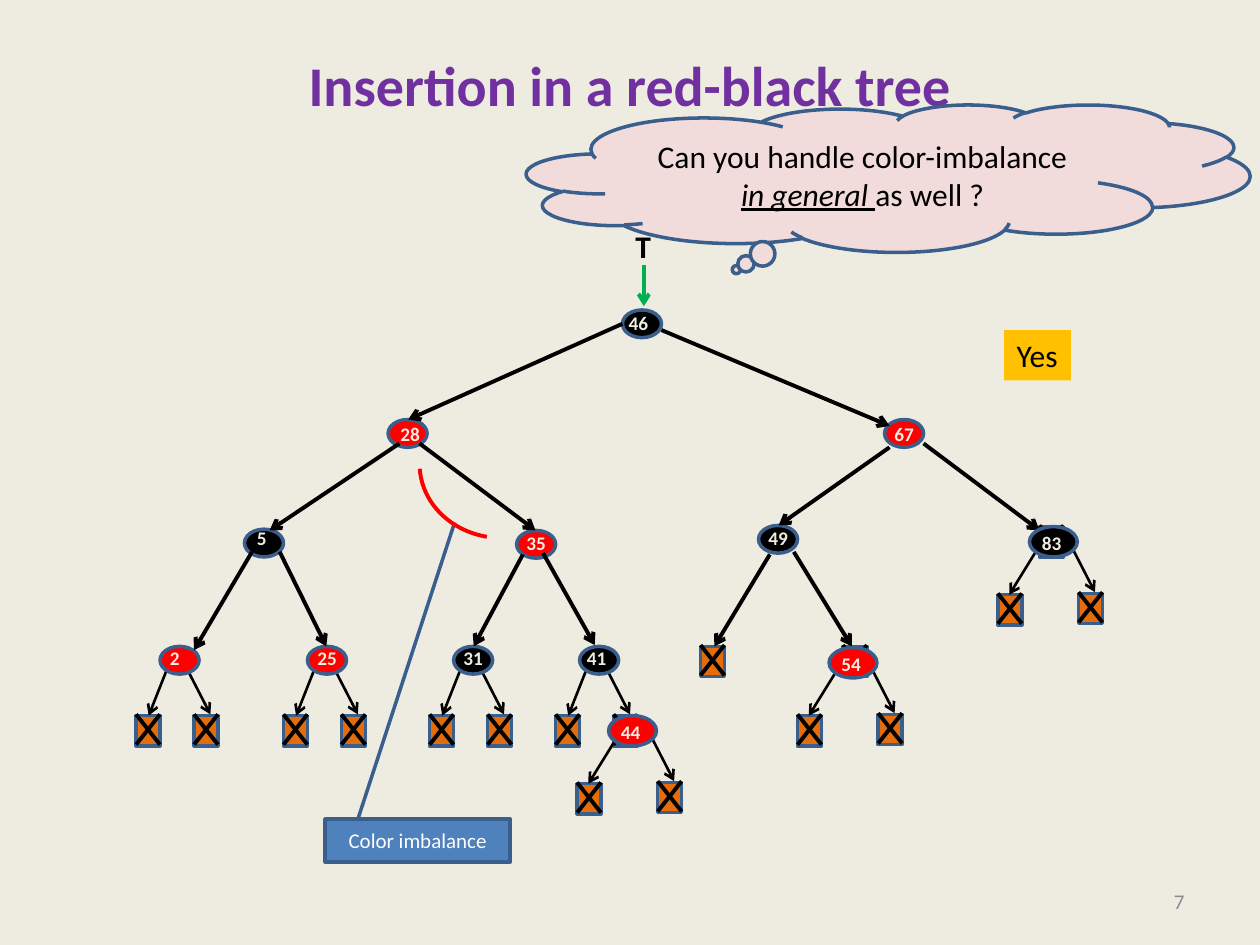
"""Build the slide on insertion in a red-black tree."""
from lxml.etree import SubElement
from pptx import Presentation
from pptx.dml.color import RGBColor
from pptx.enum.shapes import MSO_CONNECTOR, MSO_SHAPE
from pptx.enum.text import MSO_ANCHOR, PP_ALIGN
from pptx.oxml.ns import qn
from pptx.util import Inches, Pt

COLORS = {"bg": "EEECE1", "title": "7030A0", "number": "8C8C8C", "leaf": "E46C0A",
          "outline": "3A5F8C", "black": "000000", "red": "FF0000", "green": "00B050",
          "note": "4F81BD", "white": "FFFFFF", "cloud": "F2DCDB", "answer": "FFC000"}

TITLE = "Insertion in a red-black tree"
QUESTION = ["Can you handle color-imbalance", ["in general ", "as well ?"]]

# key, left, top, colour, label left, label top
INNER = [
    ("46", 4.94, 2.46, "black", 4.89, 2.42), ("28", 3.08, 3.33, "red", 3.08, 3.3),
    ("67", 7.02, 3.33, "red", 7, 3.3), ("5", 1.94, 4.2, "black", 1.94, 4.13),
    ("35", 4.1, 4.21, "red", 4.08, 4.17), ("49", 6.02, 4.17, "black", 6, 4.13),
]
LOWER = [
    ("2", 1.27, 5.13, "red", 1.25, 5.08), ("25", 2.44, 5.13, "red", 2.42, 5.08),
    ("31", 3.6, 5.13, "black", 3.58, 5.08), ("41", 4.6, 5.13, "black", 4.56, 5.08),
]
ADDED = [
    ("83", 8.17, 4.18, "black", 8.17, 4.17), ("54", 6.58, 5.14, "red", 6.58, 5.13),
    ("44", 4.83, 5.68, "red", 4.83, 5.67),
]
LONE_LEAVES = [(5.56, 5.13), (6.69, 5.13), (8.25, 4.18)]
EDGES = [
    (4.94, 2.57, 3.24, 3.33), (5.25, 2.62, 7.06, 3.38), (3.17, 3.52, 2.14, 4.21),
    (3.33, 3.52, 4.25, 4.21), (7.06, 3.55, 6.18, 4.17), (7.33, 3.52, 8.25, 4.21),
    (2, 4.38, 1.54, 5.16), (2.22, 4.38, 2.59, 5.13), (4.15, 4.4, 3.76, 5.13),
    (4.31, 4.39, 4.72, 5.12), (6.11, 4.4, 5.67, 5.13), (6.3, 4.38, 6.76, 5.13),
]
SMALL = {"size": (0.31, 0.22), "leaves": [(-0.19, 0.55), (0.27, 0.55)],
         "arrows": [(0.06, 0.17, -0.09, 0.55), (0.21, 0.17, 0.4, 0.54)]}
LARGE = {"size": (0.38, 0.24), "leaves": [(-0.25, 0.54), (0.39, 0.53)],
         "arrows": [(0.05, 0.2, -0.16, 0.54), (0.33, 0.15, 0.52, 0.52)]}
LEAF_W, LEAF_H = 0.19, 0.24


def rgb(name):
    return RGBColor.from_string(COLORS[name])


def style(p, size, color, bold=False, align=PP_ALIGN.LEFT):
    p.alignment = align
    for r in p.runs:
        r.font.name, r.font.size, r.font.bold = "Calibri", Pt(size), bold
        r.font.color.rgb = rgb(color)


def add_shape(s, kind, box, fill=None, line="outline", width=2):
    sp = s.shapes.add_shape(kind, *map(Inches, box))
    sp.shadow.inherit = False
    if fill:
        sp.fill.solid()
        sp.fill.fore_color.rgb = rgb(fill)
    else:
        sp.fill.background()
    if line:
        sp.line.color.rgb = rgb(line)
        sp.line.width = Pt(width)
    else:
        sp.line.fill.background()
    return sp


def add_line(s, ends, width=2.25, color="black", arrow=True):
    cn = s.shapes.add_connector(MSO_CONNECTOR.STRAIGHT, *map(Inches, ends))
    cn.line.color.rgb = rgb(color)
    cn.line.width = Pt(width)
    if arrow:
        SubElement(cn.line._get_or_add_ln(), qn("a:tailEnd"), type="arrow")
    SubElement(cn._element.spPr, qn("a:effectLst"))


def add_text(s, text, box, size, color, bold=False, align=PP_ALIGN.LEFT, wrap=True):
    tf = s.shapes.add_textbox(*map(Inches, box)).text_frame
    tf.word_wrap = wrap
    tf.text = text
    style(tf.paragraphs[0], size, color, bold, align)
    return tf


def add_leaf(s, x, y):
    add_shape(s, MSO_SHAPE.RECTANGLE, (x, y, LEAF_W, LEAF_H), "leaf")
    top, bottom = y - 0.01, y + LEAF_H - 0.01
    add_line(s, (x + LEAF_W, top, x, bottom), arrow=False)
    add_line(s, (x, top, x + LEAF_W, bottom), arrow=False)


def add_leaves(s, x, y, form):
    for (dx, dy), (x1, y1, x2, y2) in zip(form["leaves"], form["arrows"]):
        add_leaf(s, x + dx, y + dy)
        add_line(s, (x + x1, y + y1, x + x2, y + y2), 1.5)


def add_key(s, key, x, y):
    add_text(s, key, (x, y, 0.28 if len(key) == 1 else 0.36, 0.29), 11, "bg", True, wrap=False)


def add_tree(s):
    for _, x, y, *_ in LOWER:
        add_leaves(s, x, y, SMALL)
    for x, y in LONE_LEAVES:
        add_leaf(s, x, y)
    for _, x, y, color, *_ in INNER + LOWER:
        add_shape(s, MSO_SHAPE.OVAL, (x, y, *SMALL["size"]), color)
    for ends in EDGES:
        add_line(s, ends)
    for key, _, _, _, x, y in INNER + LOWER:
        add_key(s, key, x, y)
    add_line(s, (5.11, 2.1, 5.11, 2.43), color="green")
    add_text(s, "T", (4.83, 1.75, 0.55, 0.4), 18, "black", True, PP_ALIGN.CENTER)
    for key, x, y, color, label_x, label_y in ADDED:
        add_leaves(s, x, y, LARGE)
        add_shape(s, MSO_SHAPE.OVAL, (x, y, *LARGE["size"]), color)
        add_key(s, key, label_x, label_y)


def add_callouts(s):
    note = add_shape(s, MSO_SHAPE.LINE_CALLOUT_1, (2.58, 6.5, 1.47, 0.34), "note")
    for i, value in enumerate((-0.03, 0.18, -6.92, 0.7)):
        note.adjustments[i] = value
    note.text_frame.text = "Color imbalance"
    note.text_frame.vertical_anchor = MSO_ANCHOR.MIDDLE
    style(note.text_frame.paragraphs[0], 12, "white", align=PP_ALIGN.CENTER)

    arc = add_shape(s, MSO_SHAPE.ARC, (3.33, 3.08, 1.33, 1.19), line="red", width=2.25)
    arc.adjustments[0], arc.adjustments[1] = 171.89, 0
    arc.rotation = 176.1

    cloud = add_shape(s, MSO_SHAPE.CLOUD_CALLOUT, (4.18, 0.83, 5.74, 1.17), "cloud")
    cloud.adjustments[0], cloud.adjustments[1] = -0.21, 0.62
    tf = cloud.text_frame
    tf.vertical_anchor = MSO_ANCHOR.MIDDLE
    tf.text = QUESTION[0]
    p = tf.add_paragraph()
    for part in QUESTION[1]:
        p.add_run().text = part
    p.runs[0].font.italic = p.runs[0].font.underline = True
    for p in tf.paragraphs:
        style(p, 18, "black", align=PP_ALIGN.CENTER)

    answer = add_shape(s, MSO_SHAPE.RECTANGLE, (7.97, 2.62, 0.53, 0.4), "answer", None)
    answer.text_frame.word_wrap = False
    answer.text_frame.text = "Yes"
    style(answer.text_frame.paragraphs[0], 18, "black")


def main():
    prs = Presentation()
    prs.slide_width, prs.slide_height = Inches(10), Inches(7.5)
    s = prs.slides.add_slide(prs.slide_layouts[5])
    s.background.fill.solid()
    s.background.fill.fore_color.rgb = rgb("bg")

    title = s.shapes.title
    title.left, title.top, title.width, title.height = map(Inches, (0.5, 0.3, 9, 1.25))
    tf = title.text_frame
    tf.text = TITLE
    tf.vertical_anchor, tf.margin_top = MSO_ANCHOR.TOP, Inches(0.1)
    style(tf.paragraphs[0], 32, "title", True, PP_ALIGN.CENTER)

    number = add_text(s, "7", (7.17, 6.95, 2.33, 0.4), 12, "number", align=PP_ALIGN.RIGHT)
    number.vertical_anchor = MSO_ANCHOR.MIDDLE
    add_tree(s)
    add_callouts(s)
    prs.save("out.pptx")


if __name__ == "__main__":
    main()
